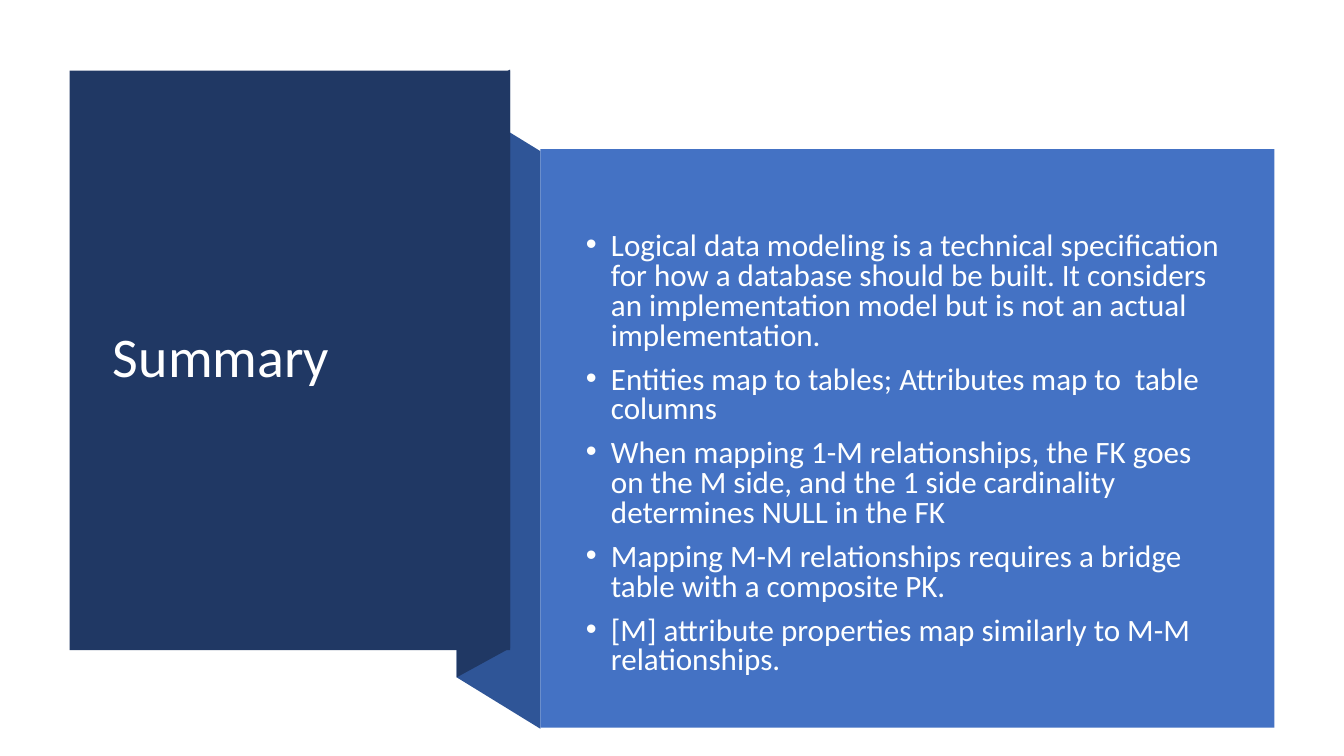
from pptx import Presentation
from pptx import util as u
from pptx.dml import color
from pptx.enum import shapes, text
from pptx.oxml import ns
from lxml import etree

INK = {"navy": "203864", "fold": "2F5597", "blue": "4472C4",
       "white": "FFFFFF", "body": "FEFFFF"}
FONT = "Calibri"
POINTS = [
    "Logical data modeling is a technical specification for how a database "
    "should be built. It considers an implementation model but is not an "
    "actual implementation.",
    "Entities map to tables; Attributes map to  table columns",
    "When mapping 1-M relationships, the FK goes on the M side, and the 1 side "
    "cardinality determines NULL in the FK",
    "Mapping M-M relationships requires a bridge table with a composite PK.",
    "[M] attribute properties map similarly to M-M relationships.",
]


def paint(shape, ink):
    shape.fill.solid()
    shape.fill.fore_color.rgb = color.RGBColor.from_string(INK[ink])
    shape.line.fill.background()
    shape.shadow.inherit = False


def draw_rect(slide, box, ink):
    rect = slide.shapes.add_shape(shapes.MSO_SHAPE.RECTANGLE,
                                  *[u.Inches(n) for n in box])
    paint(rect, ink)


def draw_poly(slide, dots, ink):
    dots = [(u.Inches(x), u.Inches(y)) for x, y in dots]
    pen = slide.shapes.build_freeform(*dots[0])
    pen.add_line_segments(dots[1:], close=True)
    paint(pen.convert_to_shape(), ink)


def place(slide, holder, box):
    """Move a placeholder to its box, in front of the panels."""
    holder.left, holder.top, holder.width, holder.height = [
        u.Inches(n) for n in box]
    slide.shapes._spTree.append(holder._element)
    frame = holder.text_frame
    frame.word_wrap = True
    frame.auto_size = text.MSO_AUTO_SIZE.NONE
    return frame


def add_run(para, words, size, ink):
    run = para.add_run()
    run.text = words
    run.font.name = FONT
    run.font.size = u.Pt(size)
    run.font.color.rgb = color.RGBColor.from_string(INK[ink])


def add_mark(para):
    props = para._p.get_or_add_pPr()
    props.set("marL", str(u.Inches(0.25)))
    props.set("indent", str(-u.Inches(0.25)))
    font = etree.SubElement(props, ns.qn("a:buFont"))
    font.set("typeface", "Arial")
    mark = etree.SubElement(props, ns.qn("a:buChar"))
    mark.set("char", "•")


def ribbon(slide, box):
    """Folded strip that joins the title panel to the text panel."""
    left, top, wide, high = box
    right, mid = left + wide, left + 0.53
    draw_poly(slide, [(right, top + high), (left, top + high - 0.51),
                      (left, top), (right, top + 0.51)], "fold")
    draw_poly(slide, [(mid, top + high - 0.8), (left, top + high - 0.51),
                      (left, top), (mid, top - 0.3)], "navy")


def title_panel(slide, box):
    left, top, wide, high = box
    draw_rect(slide, box, "navy")
    frame = place(slide, slide.shapes.title,
                  (left + 0.33, top + 0.37, wide - 0.66, high - 0.76))
    frame.vertical_anchor = text.MSO_ANCHOR.MIDDLE
    para = frame.paragraphs[0]
    para.alignment = text.PP_ALIGN.LEFT
    para.line_spacing = 0.9
    add_run(para, "Summary", 40, "white")


def text_panel(slide, box):
    left, top, wide, high = box
    draw_rect(slide, box, "blue")
    frame = place(slide, slide.placeholders[1],
                  (left + 0.35, top + 0.4, wide - 0.68, high - 0.72))
    frame.vertical_anchor = text.MSO_ANCHOR.TOP
    frame.margin_top = u.Inches(0.43)
    for i, words in enumerate(POINTS):
        para = frame.add_paragraph() if i else frame.paragraphs[0]
        para.alignment = text.PP_ALIGN.LEFT
        para.line_spacing = 0.8
        para.space_before = u.Pt(10 if i else 0)
        para.space_after = u.Pt(0)
        add_mark(para)
        add_run(para, words, 22.2, "body")


def main():
    deck = Presentation()
    deck.slide_width, deck.slide_height = u.Inches(13.33), u.Inches(7.5)
    slide = deck.slides.add_slide(deck.slide_layouts[1])
    ribbon(slide, (4.53, 0.99, 0.83, 6.24))
    title_panel(slide, (0.69, 0.7, 4.37, 5.75))
    text_panel(slide, (5.36, 1.48, 7.28, 5.74))
    deck.save("out.pptx")


if __name__ == "__main__":
    main()
